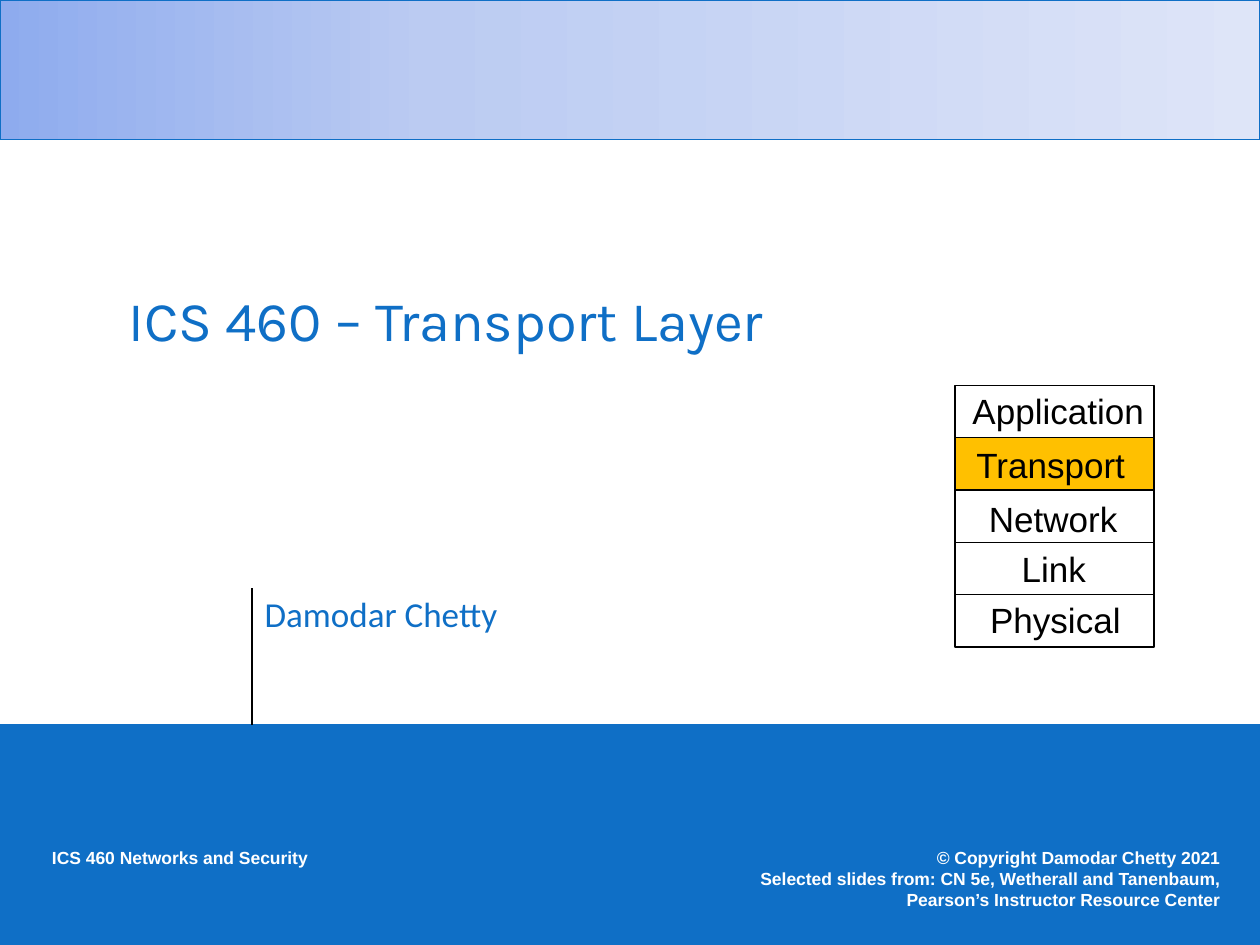
import copy
from dataclasses import dataclass

import pptx
import pptx.dml.color
import pptx.enum.shapes
import pptx.enum.text
import pptx.oxml
import pptx.util
from pptx.util import Inches

ALIGN = pptx.enum.text.PP_ALIGN
ANCHOR = pptx.enum.text.MSO_ANCHOR
RGB = pptx.dml.color.RGBColor.from_string


@dataclass(frozen=True)
class Theme:
    blue: str = "0F6FC6"
    white: str = "FFFFFF"
    black: str = "000000"
    highlight: str = "FFC000"
    band: tuple = ((0, "8EABEE"), (0.34, "BBCBF2"), (1, "DEE5F8"))
    title_size: int = 32
    text_size: int = 20
    footer_size: int = 10
    line_width: float = 0.75


theme = Theme()


def write(box, text, *, size, color, font="Arial", bold=False,
          align=ALIGN.LEFT, anchor=ANCHOR.TOP, wrap=False, spacing=None):
    """Fill a shape with text, one paragraph per line, in a single format."""
    frame = box.text_frame
    frame.text = text
    frame.word_wrap = wrap
    frame.auto_size = pptx.enum.text.MSO_AUTO_SIZE.NONE
    frame.vertical_anchor = anchor
    for para in frame.paragraphs:
        para.alignment = align
        para.space_before = pptx.util.Pt(0)
        para.line_spacing = spacing
        for span in para.runs:
            span.font.name = font
            span.font.size = pptx.util.Pt(size)
            span.font.bold = bold
            span.font.color.rgb = RGB(color)


def add_box(left, top, width, height, *, line, fill=None):
    box = page.shapes.add_shape(
        pptx.enum.shapes.MSO_SHAPE.RECTANGLE,
        Inches(left), Inches(top), Inches(width), Inches(height))
    box.shadow.inherit = False
    box.line.color.rgb = RGB(line)
    box.line.width = pptx.util.Pt(theme.line_width)
    if fill:
        box.fill.solid()
        box.fill.fore_color.rgb = RGB(fill)
    else:
        box.fill.background()
    return box


deck = pptx.Presentation()
deck.slide_width, deck.slide_height = Inches(10), Inches(7.5)
page = deck.slides.add_slide(deck.slide_layouts[0])

# Gradient band across the top
band = add_box(0, 0, 10, 1.11, line=theme.blue)
band.fill.gradient()
band.fill.gradient_angle = 0
first_stop = band.fill.gradient_stops[0]._gs
first_stop.addnext(copy.deepcopy(first_stop))
for stop, (position, color) in zip(band.fill.gradient_stops, theme.band):
    stop.position = position
    stop.color.rgb = RGB(color)

# Footer with course name and copyright
add_box(0, 5.75, 10, 1.75, line=theme.blue, fill=theme.blue)
footers = [
    (0.29, 2.25, 0.27, "ICS 460 Networks and Security"),
    (5.88, 3.9, 0.77, "© Copyright Damodar Chetty 2021\n"
                      "Selected slides from: CN 5e, Wetherall and Tanenbaum,\n"
                      "Pearson’s Instructor Resource Center"),
]
for left, width, height, text in footers:
    footer = page.shapes.add_textbox(
        Inches(left), Inches(6.67), Inches(width), Inches(height))
    write(footer, text, size=theme.footer_size, color=theme.white, bold=True,
          align=ALIGN.RIGHT)

# Rule beside the author's name
rule = page.shapes.add_connector(
    pptx.enum.shapes.MSO_CONNECTOR.STRAIGHT,
    Inches(2), Inches(4.67), Inches(2), Inches(5.75))
rule.line.color.rgb = RGB(theme.black)
rule.line.width = pptx.util.Pt(theme.line_width)
rule._element.spPr.append(pptx.oxml.parse_xml(
    '<a:effectLst xmlns:a="http://schemas.openxmlformats.org/drawingml/2006/main"/>'))

# Title and author
title = page.shapes.title
title.left, title.top = Inches(0.92), Inches(1.85)
title.width, title.height = Inches(8.58), Inches(1)
write(title, "ICS 460 – Transport Layer", size=theme.title_size,
      color=theme.blue, font="Karla", anchor=ANCHOR.BOTTOM, wrap=True)

author = page.placeholders[1]
author.left, author.top = Inches(2), Inches(4.67)
author.width, author.height = Inches(4.75), Inches(1)
author.text_frame.margin_top = Inches(0.02)
write(author, "Damodar Chetty", size=theme.text_size, color=theme.blue,
      font="Calibri", wrap=True, spacing=1.04)

# Protocol stack: label, its left, top and width, and the row's fill
layers = [
    ("Application", 7.62, 3.04, 1.56, theme.white),
    ("Transport", 7.65, 3.47, 1.39, theme.highlight),
    ("Network", 7.75, 3.9, 1.22, None),
    ("Link", 8.01, 4.3, 0.72, None),
    ("Physical", 7.76, 4.7, 1.24, None),
]
row_pitch = 0.415
for row, (name, left, top, width, fill) in enumerate(layers):
    add_box(7.58, 3.06 + row * row_pitch, 1.58, row_pitch,
            line=theme.black, fill=fill)
    label = page.shapes.add_textbox(
        Inches(left), Inches(top), Inches(width), Inches(0.43))
    write(label, name, size=theme.text_size, color=theme.black)

deck.save("out.pptx")
